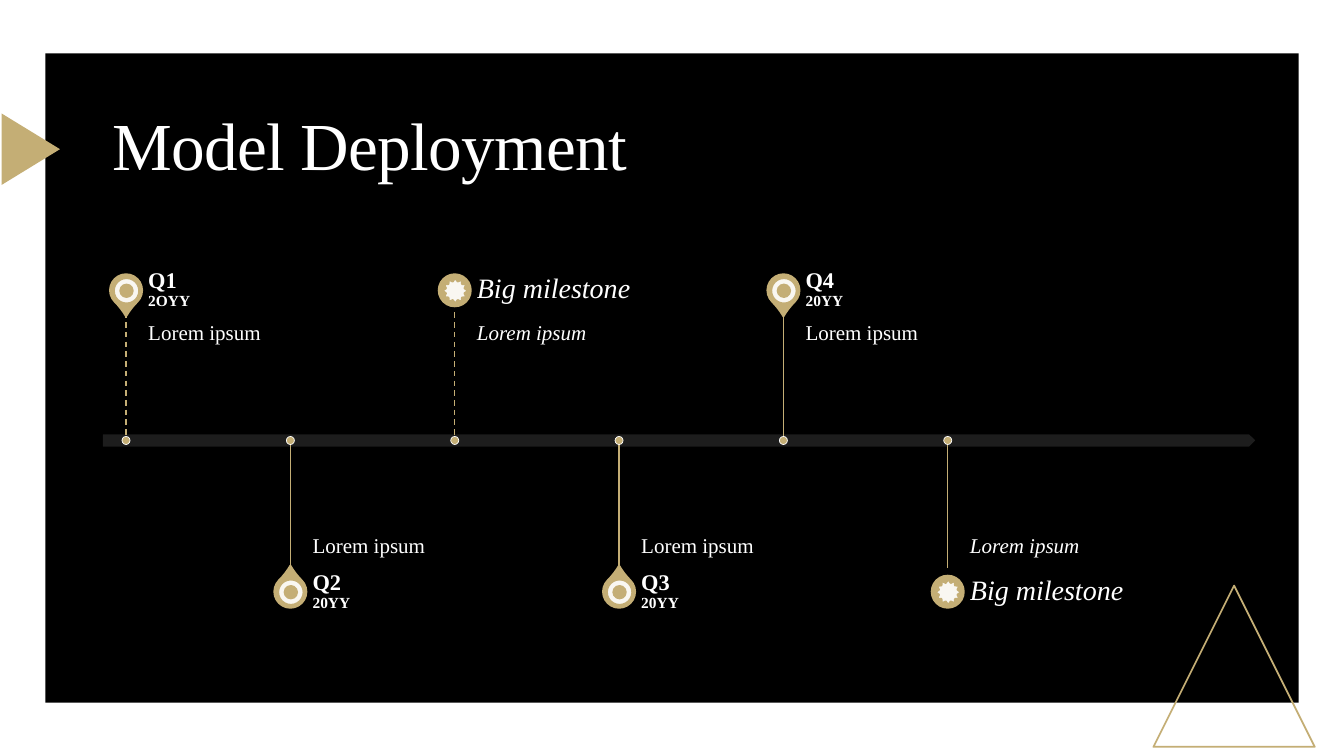
from copy import deepcopy
from dataclasses import dataclass

from lxml.etree import SubElement
from pptx import Presentation
from pptx.dml.color import RGBColor
from pptx.enum.dml import MSO_LINE_DASH_STYLE as Dash
from pptx.enum.shapes import MSO_CONNECTOR as Connector, MSO_SHAPE as Preset
from pptx.enum.text import MSO_ANCHOR as Anchor, MSO_AUTO_SIZE as AutoSize
from pptx.oxml.ns import qn
from pptx.util import Pt

TITLE = "Model Deployment"
BODY = "Lorem ipsum"
MILESTONE = "Big milestone"
# (quarter, year) or (milestone,), dashed stem; events alternate above and below the bar
EVENTS = [
    (("Q1", "2OYY"), True),
    (("Q2", "20YY"), False),
    ((MILESTONE,), True),
    (("Q3", "20YY"), False),
    (("Q4", "20YY"), False),
    ((MILESTONE,), False),
]


@dataclass(frozen=True)
class Theme:
    font: str = "Times New Roman"
    gold: str = "C4AE75"
    white: str = "FFFFFF"
    black: str = "000000"
    bar: str = "212121"
    title: int = 48
    milestone: int = 20
    quarter: int = 16
    body: int = 15
    year: int = 11
    outline: float = 1.25
    stem: float = 1
    dot_outline: float = 0.5


THEME = Theme()
EMU_PER_PX = 9144  # 100 px to the inch
SLIDE_SIZE = (1333, 750)

FIRST_STEM, STEM_STEP = 125, 163
AXIS = 437
BODY_HEIGHT, HEADING_HEIGHT = 127, 45
TEXT_OFFSET, TEXT_WIDTH = 22, 271
MARKER, SYMBOL, DOT = 32, 25, 8


def px(value):
    return round(value * EMU_PER_PX)


def color(value):
    return RGBColor.from_string(value)


def add_preset(slide, preset, box, fill=None, line=None, width=THEME.outline,
               opacity=100, rotation=0):
    shape = slide.shapes.add_shape(preset, *map(px, box))
    shape.shadow.inherit = False
    shape.rotation = rotation
    if fill:
        shape.fill.solid()
        shape.fill.fore_color.rgb = color(fill)
        if opacity < 100:
            fill_color = shape._element.spPr.find(qn("a:solidFill"))[0]
            SubElement(fill_color, qn("a:alpha"), val=str(opacity * 1000))
    else:
        shape.fill.background()
    if line:
        shape.line.color.rgb = color(line)
        shape.line.width = Pt(width)
    else:
        shape.line.fill.background()
    return shape


def write(shape, lines, sizes, bold=False, italic=False, anchor=Anchor.TOP,
          insets=(10, 5, 10, 5), spacing=None):
    """Fill a shape with one paragraph; lines are parted by line breaks."""
    frame = shape.text_frame
    frame.word_wrap = True
    frame.auto_size = AutoSize.NONE
    frame.vertical_anchor = anchor
    (frame.margin_left, frame.margin_top,
     frame.margin_right, frame.margin_bottom) = map(px, insets)
    paragraph = frame.paragraphs[0]
    paragraph.line_spacing = 0.9
    properties = None
    for text, size in zip(lines, sizes):
        if properties is not None:
            paragraph.add_line_break()
            paragraph._p[-1].append(deepcopy(properties))
        run = paragraph.add_run()
        run.text = text
        font = run.font
        font.name, font.size = THEME.font, Pt(size)
        font.bold, font.italic = bold, italic
        font.color.rgb = color(THEME.white)
        properties = run._r.get_or_add_rPr()
        if spacing is not None:
            properties.set("spc", str(spacing))


def add_text(slide, box, lines, sizes, **text_format):
    write(slide.shapes.add_textbox(*map(px, box)), lines, sizes, **text_format)


def add_stem(slide, x, top, bottom, dashed):
    stem = slide.shapes.add_connector(Connector.STRAIGHT, px(x), px(top), px(x), px(bottom))
    stem.line.color.rgb = color(THEME.gold)
    stem.line.width = Pt(THEME.stem)
    if dashed:
        stem.line.dash_style = Dash.DASH
    SubElement(stem._element.spPr, qn("a:effectLst"))


def add_marker(slide, x, y, above, milestone):
    half = MARKER // 2
    pin = add_preset(slide, Preset.OVAL if milestone else Preset.TEAR,
                     (x - half, y - half, MARKER, MARKER),
                     fill=THEME.gold, line=THEME.gold, rotation=135 if above else 315)
    if not milestone:
        pin.adjustments[0] = 1.15
    half = SYMBOL // 2
    add_preset(slide, Preset.STAR_12_POINT if milestone else Preset.DONUT,
               (x - half, y - half, SYMBOL, SYMBOL),
               fill=THEME.white, line=THEME.gold, opacity=90)


def add_event(slide, index, heading, dashed):
    x = FIRST_STEM + STEM_STEP * index
    above = index % 2 == 0
    milestone = len(heading) == 1
    body_top = AXIS - BODY_HEIGHT if above else AXIS
    heading_top = body_top - HEADING_HEIGHT if above else body_top + BODY_HEIGHT
    text_left = x + TEXT_OFFSET

    add_marker(slide, x, heading_top + 23, above, milestone)
    add_text(slide, (text_left, body_top, TEXT_WIDTH, BODY_HEIGHT), [BODY], [THEME.body],
             italic=milestone, anchor=Anchor.TOP if above else Anchor.BOTTOM,
             insets=(0, 10, 10, 16) if above else (0, 16, 0, 10))
    add_text(slide, (text_left, heading_top, TEXT_WIDTH, HEADING_HEIGHT), heading,
             [THEME.milestone] if milestone else [THEME.quarter, THEME.year],
             bold=not milestone, italic=milestone, anchor=Anchor.MIDDLE,
             insets=(0, 0, 11, 0))
    add_stem(slide, x, body_top, body_top + BODY_HEIGHT, dashed)
    add_preset(slide, Preset.OVAL, (x - DOT // 2, AXIS - DOT // 2, DOT, DOT),
               fill=THEME.gold, line=THEME.white, width=THEME.dot_outline)


def add_title(slide):
    title = slide.shapes.title
    title.left, title.top, title.width, title.height = map(px, (102, 98, 1143, 100))
    write(title, [TITLE], [THEME.title], anchor=Anchor.MIDDLE, spacing=-50)
    title.text_frame.paragraphs[0].alignment = 1  # left
    slide.shapes._spTree.append(title._element)  # in front of the panel


def main():
    presentation = Presentation()
    presentation.slide_width, presentation.slide_height = map(px, SLIDE_SIZE)
    slide = presentation.slides.add_slide(presentation.slide_layouts[5])

    add_preset(slide, Preset.RECTANGLE, (45, 53, 1243, 644), fill=THEME.black)
    add_preset(slide, Preset.ISOSCELES_TRIANGLE, (1144, 581, 160, 160), line=THEME.gold)
    add_preset(slide, Preset.ISOSCELES_TRIANGLE, (-5, 119, 71, 58),
               fill=THEME.gold, rotation=90)
    add_preset(slide, Preset.PENTAGON, (102, 431, 1143, 12), fill=THEME.bar, opacity=90)
    for index, (heading, dashed) in enumerate(EVENTS):
        add_event(slide, index, heading, dashed)
    add_title(slide)

    presentation.save("out.pptx")


if __name__ == "__main__":
    main()
